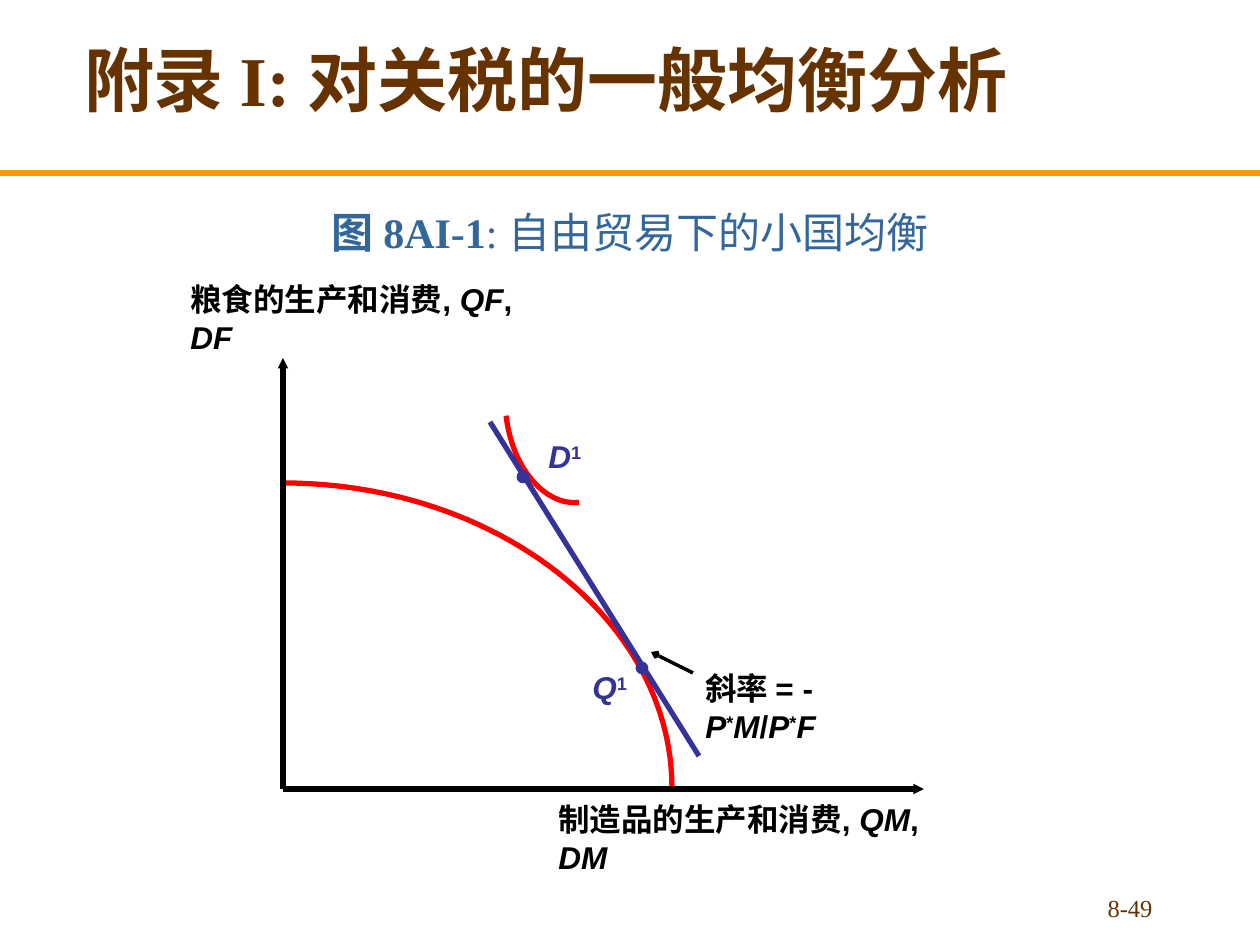
from lxml.etree import SubElement
from pptx import Presentation
from pptx.dml.color import RGBColor
from pptx.enum.shapes import MSO_CONNECTOR, MSO_SHAPE
from pptx.enum.text import MSO_ANCHOR, PP_ALIGN
from pptx.oxml.ns import qn
from pptx.util import Pt

PX = 914400 / 126
COLORS = {"brown": "663300", "orange": "FF9900", "steel": "336699",
          "red": "FF0000", "indigo": "333399", "black": "000000"}
SERIF, SANS = "Times New Roman", "Arial"

TITLE = [("附录 I: 对关税的一般均衡分析", "")]
CAPTION = [("图 8AI-1", "b"), (": 自由贸易下的小国均衡", "")]
PAGE_NUMBER = [("8-49", "")]

AXIS_LABELS = [
    ((178, 274, 389, 55), [("粮食的生产和消费, ", ""), ("QF", "i"), (", ", ""), ("DF", "i")]),
    ((546, 794, 428, 55), [("制造品的生产和消费, ", ""), ("QM", "i"), (", ", ""), ("DM", "i")]),
]
SLOPE_LABEL = ((693, 663, 241, 55), [
    ("斜率 = - ", ""), ("P", "i"), ("*", "s"), ("M", "i"), ("/", ""),
    ("P", "i"), ("*", "s"), ("F", "i")])
POINTS = [
    ((523, 477), (536, 431, 66, 50), "D"),
    ((642, 668), (580, 662, 66, 50), "Q"),
]
DOT = 11

ORIGIN = (283, 789)
AXIS_TIPS = [(283, 358), (924, 789)]
PRICE_LINE = ((490, 422), (699, 756))
SLOPE_ARROW = ((693, 673), (651, 652))
CURVES = [((283, 483, 389, 305), 0), ((511, 412, 63, 94), 173.8)]
CURVE_STEPS = 48
KAPPA = 0.55


def emu(*lengths):
    return [round(length * PX) for length in lengths]


def rgb(name):
    return RGBColor.from_string(COLORS[name])


def write(frame, spans, font, size, color, bold=False, align=PP_ALIGN.LEFT,
          anchor=MSO_ANCHOR.TOP):
    frame.word_wrap = True
    frame.vertical_anchor = anchor
    para = frame.paragraphs[0]
    para.alignment = align
    para.font.name = font
    para.font.size = Pt(size)
    para.font.color.rgb = rgb(color)
    if bold:
        para.font.bold = True
    for text, style in spans:
        span = para.add_run()
        span.text = text
        if style == "b":
            span.font.bold = True
        elif style == "i":
            span.font.italic = True
        elif style == "s":
            span._r.get_or_add_rPr().set("baseline", "30000")


def add_text(page, place, spans, *style, **options):
    box = page.shapes.add_textbox(*emu(*place))
    write(box.text_frame, spans, *style, **options)


def add_line(page, start, end, color, width, arrow=None):
    line = page.shapes.add_connector(MSO_CONNECTOR.STRAIGHT, *emu(*start, *end))
    line.line.color.rgb = rgb(color)
    line.line.width = Pt(width)
    if arrow:
        SubElement(line.line._get_or_add_ln(), qn("a:tailEnd"),
                   type=arrow, w="sm", len="sm")
    SubElement(line._element.spPr, qn("a:effectLst"))


def add_curve(page, place, rotation):
    left, top, width, height = emu(*place)
    points = []
    for step in range(CURVE_STEPS + 1):
        t = step / CURVE_STEPS
        u = 1 - t
        across = 3 * u * u * t * KAPPA + 3 * u * t * t + t ** 3
        down = 3 * u * t * t * (1 - KAPPA) + t ** 3
        points.append((left + across * width, top + down * height))
    builder = page.shapes.build_freeform(*points[0])
    builder.add_line_segments(points[1:], close=False)
    curve = builder.convert_to_shape()
    curve.rotation = rotation
    curve.shadow.inherit = False
    curve.fill.background()
    curve.line.color.rgb = rgb("red")
    curve.line.width = Pt(3)


def add_dot(page, center):
    x, y = center
    dot = page.shapes.add_shape(MSO_SHAPE.OVAL, *emu(x - DOT / 2, y - DOT / 2, DOT, DOT))
    dot.shadow.inherit = False
    dot.fill.solid()
    dot.fill.fore_color.rgb = rgb("indigo")
    dot.line.color.rgb = rgb("indigo")
    dot.line.width = Pt(1)


def main():
    deck = Presentation()
    deck.slide_width, deck.slide_height = emu(1260, 945)
    page = deck.slides.add_slide(deck.slide_layouts[5])

    title = page.shapes.title
    title.left, title.top, title.width, title.height = emu(10, 0, 1071, 157)
    write(title.text_frame, TITLE, SERIF, 40, "brown", bold=True,
          align=PP_ALIGN.CENTER, anchor=MSO_ANCHOR.MIDDLE)
    add_line(page, (0, 173), (1260, 173), "orange", 3)
    add_text(page, (0, 179, 1260, 84), CAPTION, SERIF, 24, "steel",
             align=PP_ALIGN.CENTER, anchor=MSO_ANCHOR.BOTTOM)
    add_text(page, (903, 866, 262, 63), PAGE_NUMBER, SERIF, 14, "brown",
             align=PP_ALIGN.RIGHT, anchor=MSO_ANCHOR.BOTTOM)

    for place, rotation in CURVES:
        add_curve(page, place, rotation)
    add_line(page, *PRICE_LINE, "indigo", 3)
    add_line(page, *SLOPE_ARROW, "black", 2, "arrow")
    for tip in AXIS_TIPS:
        add_line(page, ORIGIN, tip, "black", 3, "triangle")
    for place, spans in [*AXIS_LABELS, SLOPE_LABEL]:
        add_text(page, place, spans, SANS, 18, "black", bold=True)
    for center, place, letter in POINTS:
        add_dot(page, center)
        add_text(page, place, [(letter, "i"), ("1", "s")], SANS, 18, "indigo", bold=True)

    deck.save("out.pptx")


if __name__ == "__main__":
    main()
